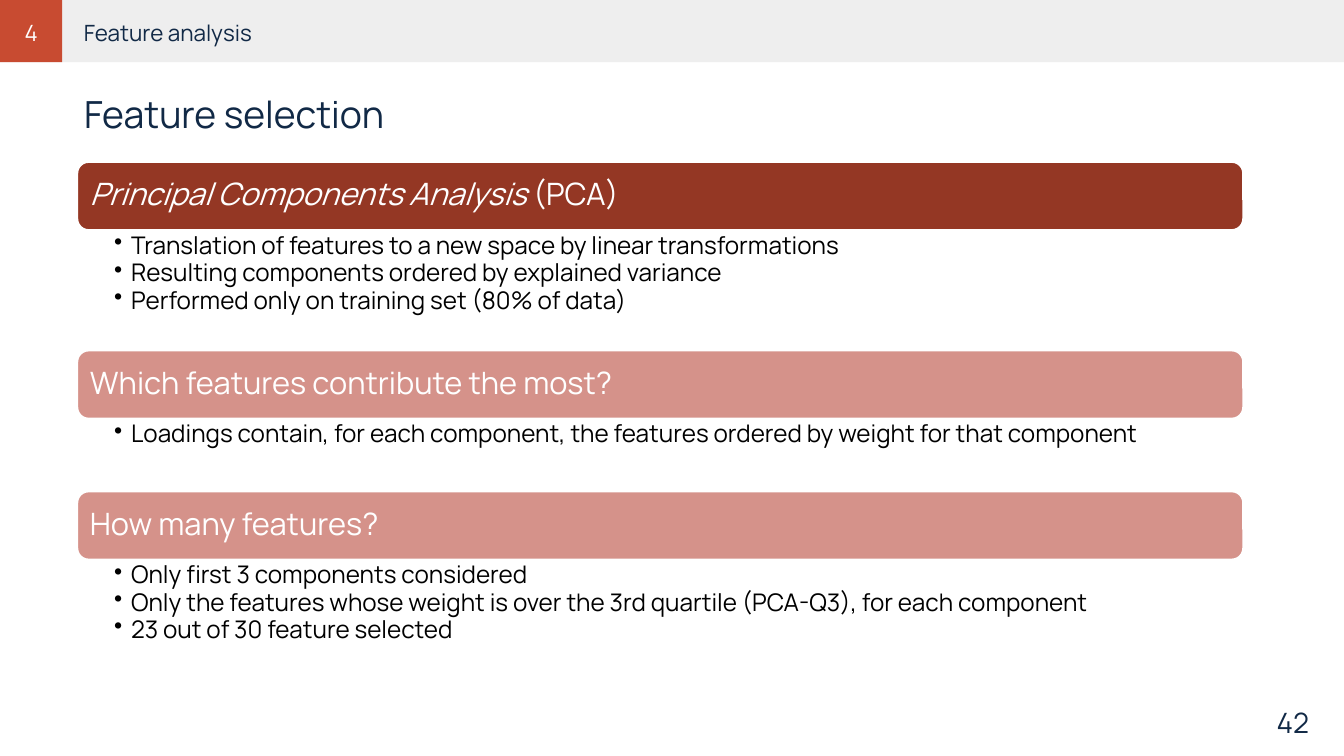
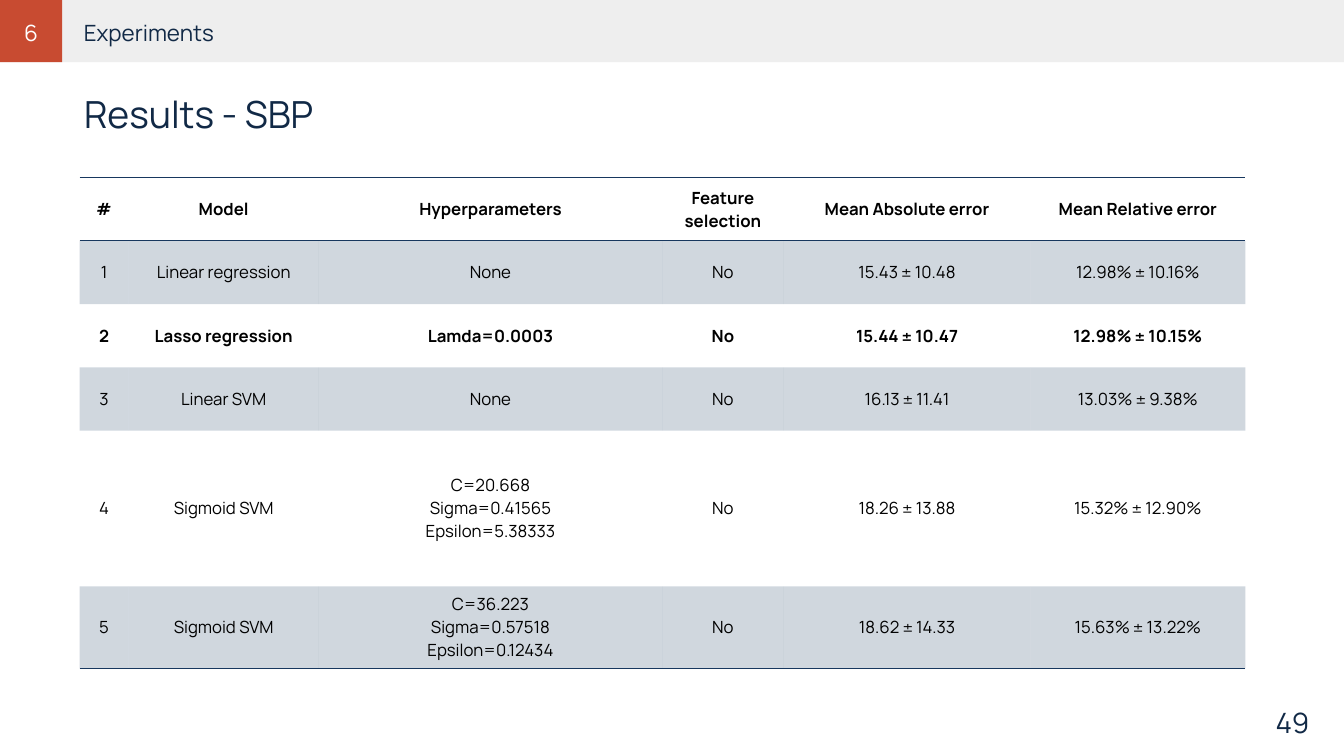
from lxml.etree import SubElement
from pptx import Presentation
from pptx.dml.color import RGBColor
from pptx.enum.shapes import MSO_SHAPE as Preset
from pptx.enum.text import MSO_ANCHOR as Anchor, MSO_AUTO_SIZE as AutoSize, PP_ALIGN as Align
from pptx.oxml.ns import qn
from pptx.util import Pt

FONT = "Manrope"
NAVY = RGBColor(0x11, 0x29, 0x46)
TABLE_BLUE = RGBColor(0x17, 0x37, 0x5E)
RED = RGBColor(0xC8, 0x4B, 0x31)
DARK_RED = RGBColor(0x94, 0x37, 0x24)
PINK = RGBColor(0xD5, 0x92, 0x8A)
GREY = RGBColor(0xEE, 0xEE, 0xEE)
WHITE = RGBColor(0xFF, 0xFF, 0xFF)
BLACK = RGBColor(0x00, 0x00, 0x00)

SLIDE_WIDTH, SLIDE_HEIGHT = 1440, 810
HEADER_HEIGHT = 66.7
LEFT, CONTENT_WIDTH = 82.8, 1249.2
NO_GRID_STYLE = "{2D5ABB26-0587-4C30-8999-92F81FD0307C}"

# Each topic: heading runs as (text, italic), band colour, height of the list, list items
TOPICS = [
    ([("Principal Components Analysis", True), (" (PCA)", False)], DARK_RED, 129,
     ["Translation of features to a new space by linear transformations",
      "Resulting components ordered by explained variance",
      "Performed only on training set (80% of data)"]),
    ([("Which features contribute the most?", False)], PINK, 78,
     ["Loadings contain, for each component, the features ordered by weight for that component"]),
    ([("How many features?", False)], PINK, 129,
     ["Only first 3 components considered",
      "Only the features whose weight is over the 3rd quartile (PCA-Q3), for each component",
      "23 out of 30 feature selected"]),
]
TOPICS_TOP, BAND_HEIGHT = 173.5, 73

RESULTS = [
    ("#", "Model", "Hyperparameters", "Feature selection",
     "Mean Absolute error", "Mean Relative error"),
    ("1", "Linear regression", "None", "No", "15.43 ± 10.48", "12.98% ± 10.16%"),
    ("2", "Lasso regression", "Lamda=0.0003", "No", "15.44 ± 10.47", "12.98% ± 10.15%"),
    ("3", "Linear SVM", "None", "No", "16.13 ± 11.41", "13.03% ± 9.38%"),
    ("4", "Sigmoid SVM", "C=20.668\nSigma=0.41565\nEpsilon=5.38333", "No",
     "18.26 ± 13.88", "15.32% ± 12.90%"),
    ("5", "Sigmoid SVM", "C=36.223\nSigma=0.57518\nEpsilon=0.12434", "No",
     "18.62 ± 14.33", "15.63% ± 13.22%"),
]
COLUMN_WIDTHS = [52.6, 203.8, 367.9, 130.3, 264.2, 230.4]
ROW_HEIGHTS = [67.8, 67.8, 67.8, 67.8, 167, 87.8]
BOLD_ROWS = {0, 2}
SHADED_ROWS = {1, 3, 5}


def points(*lengths):
    return [Pt(length) for length in lengths]


def add_run(paragraph, text, size, color, bold=False, italic=False):
    run = paragraph.add_run()
    run.text = text
    font = run.font
    font.name, font.size, font.color.rgb = FONT, Pt(size), color
    font.bold, font.italic = bold, italic


def set_margins(frame, left, top, right, bottom):
    frame.margin_left, frame.margin_top, frame.margin_right, frame.margin_bottom = points(
        left, top, right, bottom)


def add_filled_shape(slide, preset, box, color):
    shape = slide.shapes.add_shape(preset, *points(*box))
    shape.shadow.inherit = False
    shape.fill.solid()
    shape.fill.fore_color.rgb = color
    shape.line.fill.background()
    return shape


def add_text(slide, box, text, size, color, align=Align.LEFT, anchor=Anchor.TOP):
    frame = slide.shapes.add_textbox(*points(*box)).text_frame
    frame.word_wrap = True
    frame.vertical_anchor = anchor
    frame.paragraphs[0].alignment = align
    add_run(frame.paragraphs[0], text, size, color)


def add_section_slide(presentation, number, section, title, page):
    """Add a slide with the header strip, the title and the page number."""
    slide = presentation.slides.add_slide(presentation.slide_layouts[5])
    add_filled_shape(slide, Preset.RECTANGLE, (0, 0, SLIDE_WIDTH, HEADER_HEIGHT), GREY)
    add_filled_shape(slide, Preset.RECTANGLE, (0, 0, HEADER_HEIGHT, HEADER_HEIGHT), RED)
    add_text(slide, (1242, 759.6, 167.8, 28.8), page, 30, NAVY, Align.RIGHT, Anchor.MIDDLE)
    add_text(slide, (LEFT, 16.6, CONTENT_WIDTH, 32.4), section, 24, NAVY)
    add_text(slide, (7.9, 16.6, 51, 32.4), number, 24, WHITE, Align.CENTER)

    heading = slide.shapes.title
    heading.left, heading.top, heading.width, heading.height = points(
        LEFT, 93.6, CONTENT_WIDTH, 52.6)
    frame = heading.text_frame
    frame.auto_size = AutoSize.NONE
    frame.vertical_anchor = Anchor.TOP
    frame.paragraphs[0].alignment = Align.LEFT
    add_run(frame.paragraphs[0], title, 40, NAVY)
    return slide


def add_bullet(paragraph):
    properties = paragraph._p.get_or_add_pPr()
    properties.set("marL", str(Pt(18)))
    properties.set("indent", str(Pt(-18)))
    SubElement(properties, qn("a:buChar")).set("char", "•")


def add_topic_band(slide, top, heading, color):
    band = add_filled_shape(
        slide, Preset.ROUNDED_RECTANGLE, (LEFT, top, CONTENT_WIDTH, BAND_HEIGHT), color)
    band.line.color.rgb = WHITE
    band.line.width = Pt(2)
    frame = band.text_frame
    frame.word_wrap = True
    frame.vertical_anchor = Anchor.MIDDLE
    set_margins(frame, 10, 10, 10, 10)
    paragraph = frame.paragraphs[0]
    paragraph.alignment = Align.LEFT
    paragraph.line_spacing = 0.9
    for text, italic in heading:
        add_run(paragraph, text, 33, WHITE, italic=italic)


def add_topic_list(slide, top, height, items):
    frame = slide.shapes.add_textbox(*points(LEFT, top, CONTENT_WIDTH, height)).text_frame
    frame.word_wrap = True
    set_margins(frame, 39.6, 3.6, 18.7, 3.6)
    for index, item in enumerate(items):
        paragraph = frame.add_paragraph() if index else frame.paragraphs[0]
        add_bullet(paragraph)
        paragraph.line_spacing = 0.9
        paragraph.space_after = Pt(1.25)
        add_run(paragraph, item, 26, BLACK)


def add_topics(slide):
    top = TOPICS_TOP
    for heading, color, list_height, items in TOPICS:
        add_topic_band(slide, top, heading, color)
        add_topic_list(slide, top + BAND_HEIGHT, list_height, items)
        top += BAND_HEIGHT + list_height


def add_border(cell, tag):
    properties = cell._tc.get_or_add_tcPr()
    line = SubElement(properties, qn(tag))
    line.set("w", str(Pt(1)))
    fill = SubElement(line, qn("a:solidFill"))
    SubElement(fill, qn("a:srgbClr")).set("val", str(TABLE_BLUE))


def shade(cell):
    cell.fill.solid()
    cell.fill.fore_color.rgb = TABLE_BLUE
    color = cell._tc.tcPr.find(".//" + qn("a:solidFill") + "[last()]/" + qn("a:srgbClr"))
    SubElement(color, qn("a:alpha")).set("val", "20000")


def format_cell(cell, row, text):
    cell.vertical_anchor = Anchor.MIDDLE
    if row in SHADED_ROWS:
        shade(cell)
    else:
        cell.fill.background()
    fill = cell._tc.tcPr[0]
    if row == 0:
        add_border(cell, "a:lnT")
    if row in (0, len(RESULTS) - 1):
        add_border(cell, "a:lnB")
    cell._tc.tcPr.append(fill)  # the schema wants borders before the fill
    for index, line in enumerate(text.split("\n")):
        frame = cell.text_frame
        paragraph = frame.add_paragraph() if index else frame.paragraphs[0]
        paragraph.alignment = Align.CENTER
        add_run(paragraph, line, 18, BLACK, bold=row in BOLD_ROWS)


def add_results_table(slide):
    box = points(85.2, 190.2, sum(COLUMN_WIDTHS), sum(ROW_HEIGHTS))
    table = slide.shapes.add_table(len(RESULTS), len(COLUMN_WIDTHS), *box).table
    table.first_row = table.horz_banding = False
    table._tbl.tblPr.find(qn("a:tableStyleId")).text = NO_GRID_STYLE
    for column, width in zip(table.columns, COLUMN_WIDTHS):
        column.width = Pt(width)
    for row, (values, height) in enumerate(zip(RESULTS, ROW_HEIGHTS)):
        table.rows[row].height = Pt(height)
        for column, text in enumerate(values):
            format_cell(table.cell(row, column), row, text)


def main():
    presentation = Presentation()
    presentation.slide_width, presentation.slide_height = points(SLIDE_WIDTH, SLIDE_HEIGHT)
    add_topics(add_section_slide(
        presentation, "4", "Feature analysis", "Feature selection", "42"))
    add_results_table(add_section_slide(
        presentation, "6", "Experiments", "Results - SBP", "49"))
    presentation.save("out.pptx")


if __name__ == "__main__":
    main()
